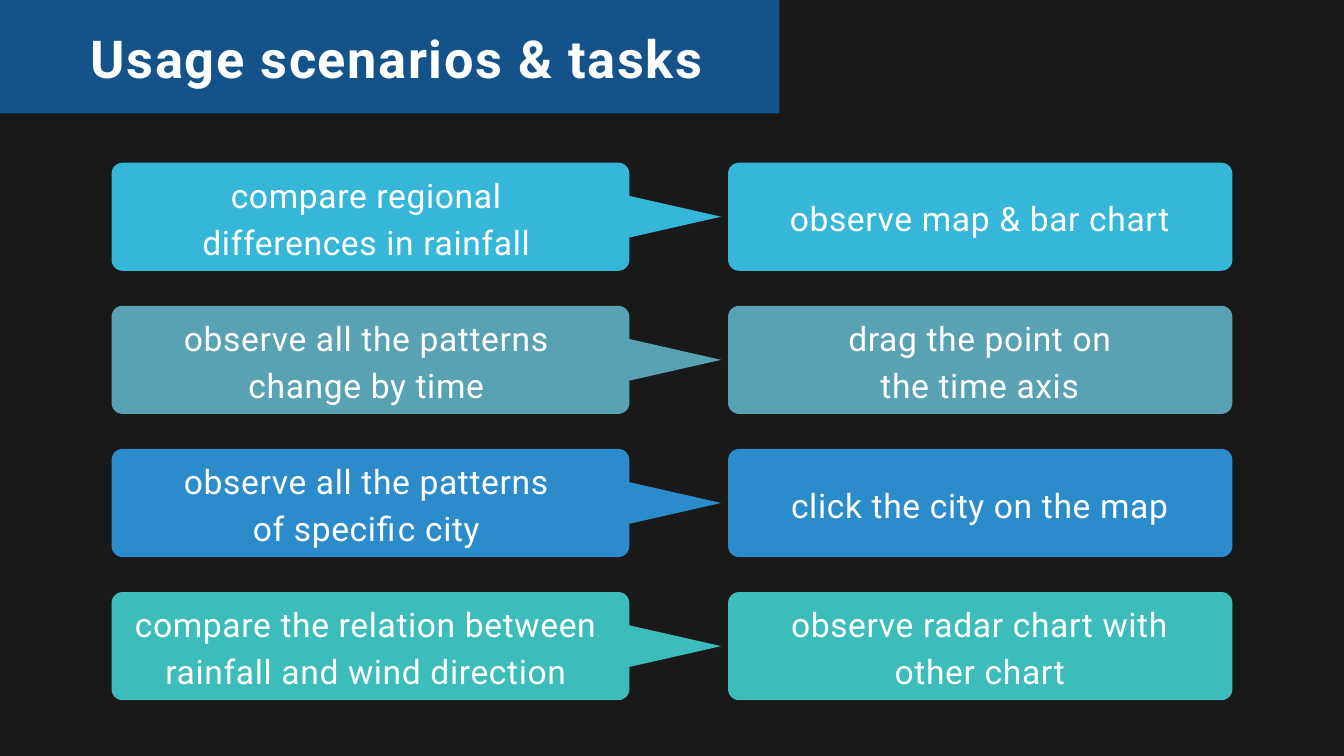
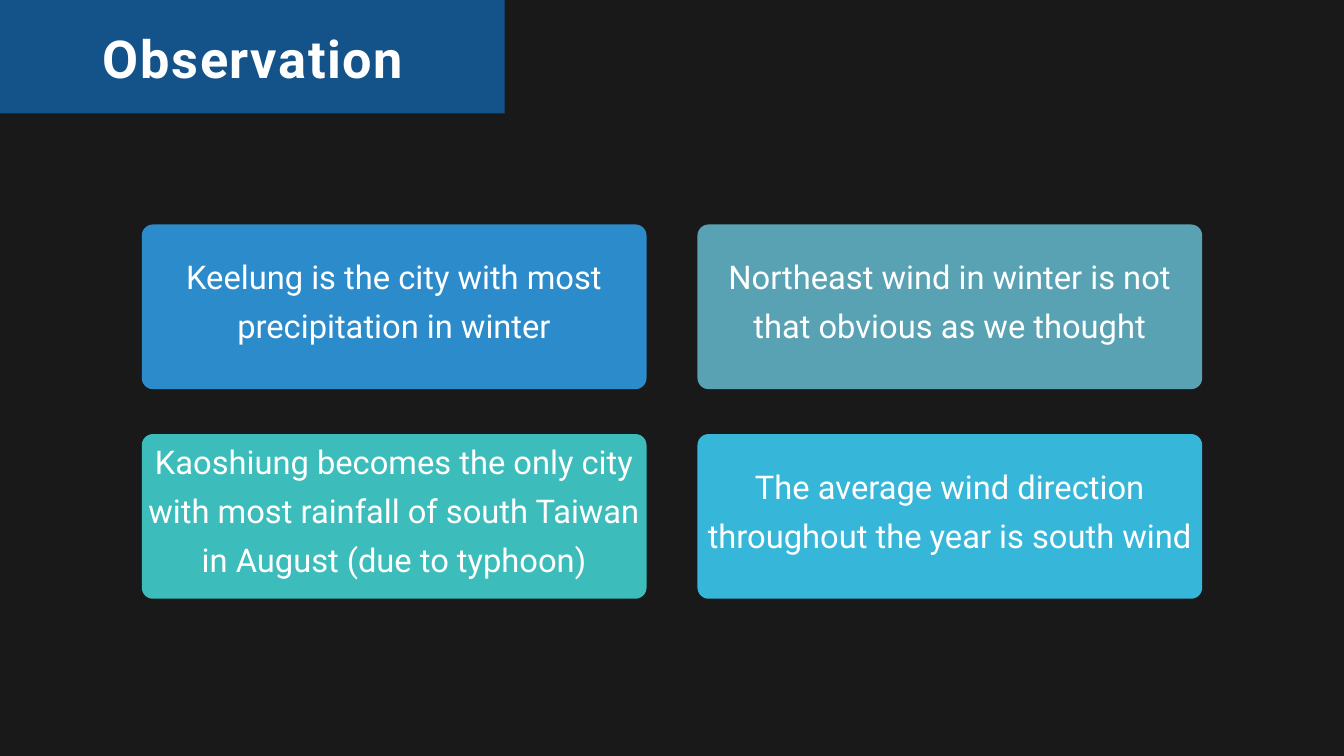
from collections import namedtuple

from pptx import Presentation
from pptx.dml.color import RGBColor
from pptx.enum.shapes import MSO_SHAPE
from pptx.enum.text import MSO_ANCHOR, MSO_AUTO_SIZE, PP_ALIGN
from pptx.util import Inches, Pt

COLORS = {
    "background": "191919",
    "band": "13538A",
    "text": "FFFFFF",
    "sky": "36B7DA",
    "slate": "59A2B3",
    "blue": "2C8CCB",
    "teal": "3CBDBB",
}
FONT = "Roboto"
WIDTH, HEIGHT = 20, 11.25
BAND_HEIGHT = 0.15 * HEIGHT
CORNER_RADIUS = 0.165
TITLE_ONLY = 5

Box = namedtuple("Box", "left top width height")
Style = namedtuple("Style", "size line tracking bold")
Insets = namedtuple("Insets", "left top right bottom")

TITLE_STYLE = Style(56, 72.8, 1.7, True)
TASK_STYLE = Style(36, 50.4, 0.7, False)
FINDING_STYLE = Style(35, 52.5, 0, False)

WIDE_INSETS = Insets(0.84, 0, 0.96, 0.05)
FULL_INSETS = Insets(0, 0, 0.13, 0.05)
ACTION_INSETS = Insets(0.43, 0, 0.44, 0.05)
FINDING_INSETS = Insets(0.04, 0, 0.04, 0.31)

TASKS = [
    ("sky", ["compare regional differences in rainfall"], WIDE_INSETS,
     ["observe map & bar chart"]),
    ("slate", ["observe all the patterns", "change by time"], WIDE_INSETS,
     ["drag the point on", "the time axis"]),
    ("blue", ["observe all the patterns", "of specific city"], WIDE_INSETS,
     ["click the city on the map"]),
    ("teal", ["compare the relation between rainfall and wind direction"], FULL_INSETS,
     ["observe radar chart with other chart"]),
]
FINDINGS = [
    ("blue", "Keelung is the city with most precipitation in winter"),
    ("slate", "Northeast wind in winter is not that obvious as we thought"),
    ("teal", "Kaoshiung becomes the only city with most rainfall of south Taiwan "
             "in August (due to typhoon)"),
    ("sky", "The average wind direction throughout the year is south wind"),
]


def color(name):
    return RGBColor.from_string(COLORS[name])


def inches(values):
    return [Inches(value) for value in values]


def paint(shape, name):
    shape.fill.solid()
    shape.fill.fore_color.rgb = color(name)
    shape.line.fill.background()


def write(shape, lines, style, insets):
    frame = shape.text_frame
    frame.text = "\n".join(lines)
    frame.word_wrap = True
    frame.auto_size = MSO_AUTO_SIZE.NONE
    frame.vertical_anchor = MSO_ANCHOR.MIDDLE
    (frame.margin_left, frame.margin_top,
     frame.margin_right, frame.margin_bottom) = inches(insets)
    for para in frame.paragraphs:
        para.alignment = PP_ALIGN.CENTER
        para.line_spacing = Pt(style.line)
        para.font.name = FONT
        para.font.size = Pt(style.size)
        para.font.bold = style.bold
        para.font.color.rgb = color("text")
        for span in para.runs:
            span.font._element.set("spc", str(round(style.tracking * 100)))


def add_figure(page, kind, box, fill):
    shape = page.shapes.add_shape(kind, *inches(box))
    shape.shadow.inherit = False
    paint(shape, fill)
    return shape


def add_card(page, box, fill, lines, style, insets):
    card = add_figure(page, MSO_SHAPE.ROUNDED_RECTANGLE, box, fill)
    card.adjustments[0] = CORNER_RADIUS / min(box.width, box.height)
    write(card, lines, style, insets)


def add_pointer(page, box, fill):
    left = box.left + (box.width - box.height) / 2
    top = box.top + (box.height - box.width) / 2
    upright = Box(left, top, box.height, box.width)
    pointer = add_figure(page, MSO_SHAPE.ISOSCELES_TRIANGLE, upright, fill)
    pointer.rotation = 90


def add_page(deck, title, band_width, indent):
    page = deck.slides.add_slide(deck.slide_layouts[TITLE_ONLY])
    band = page.shapes.title
    band.left, band.top, band.width, band.height = inches((0, 0, band_width, BAND_HEIGHT))
    paint(band, "band")
    write(band, [title], TITLE_STYLE, Insets(indent, 0, 0, 0.05))
    return page


def add_task_row(page, box, fill, scenario, scenario_insets, action):
    left = box._replace(width=0.462 * box.width)
    right_width = 0.45 * box.width
    right = box._replace(left=box.left + box.width - right_width, width=right_width)
    pointer_height = 0.39 * box.height
    pointer = Box(left.left + left.width - 0.02,
                  box.top + (box.height - pointer_height) / 2,
                  0.083 * box.width, pointer_height)
    add_card(page, left, fill, scenario, TASK_STYLE, scenario_insets)
    add_pointer(page, pointer, fill)
    add_card(page, right, fill, action, TASK_STYLE, ACTION_INSETS)


def add_tasks(page, box):
    gap = 0.065 * box.height
    height = (box.height - gap * (len(TASKS) - 1)) / len(TASKS)
    for row, task in enumerate(TASKS):
        top = box.top + row * (height + gap)
        add_task_row(page, box._replace(top=top, height=height), *task)


def add_findings(page, box):
    width, height = 0.476 * box.width, 0.44 * box.height
    for index, (fill, finding) in enumerate(FINDINGS):
        row, column = divmod(index, 2)
        card = Box(box.left + column * (box.width - width),
                   box.top + row * (box.height - height), width, height)
        add_card(page, card, fill, [finding], FINDING_STYLE, FINDING_INSETS)


def main():
    deck = Presentation()
    deck.slide_width, deck.slide_height = inches((WIDTH, HEIGHT))
    backdrop = deck.slide_master.background.fill
    backdrop.solid()
    backdrop.fore_color.rgb = color("background")

    tasks_page = add_page(deck, "Usage scenarios & tasks", 0.58 * WIDTH, 0.22)
    add_tasks(tasks_page, Box(1.66, 2.42, 16.68, 8))

    findings_page = add_page(deck, "Observation", 0.3755 * WIDTH, 0.03)
    add_findings(findings_page, Box(2.11, 3.34, 15.78, 5.57))

    deck.save("out.pptx")


if __name__ == "__main__":
    main()
